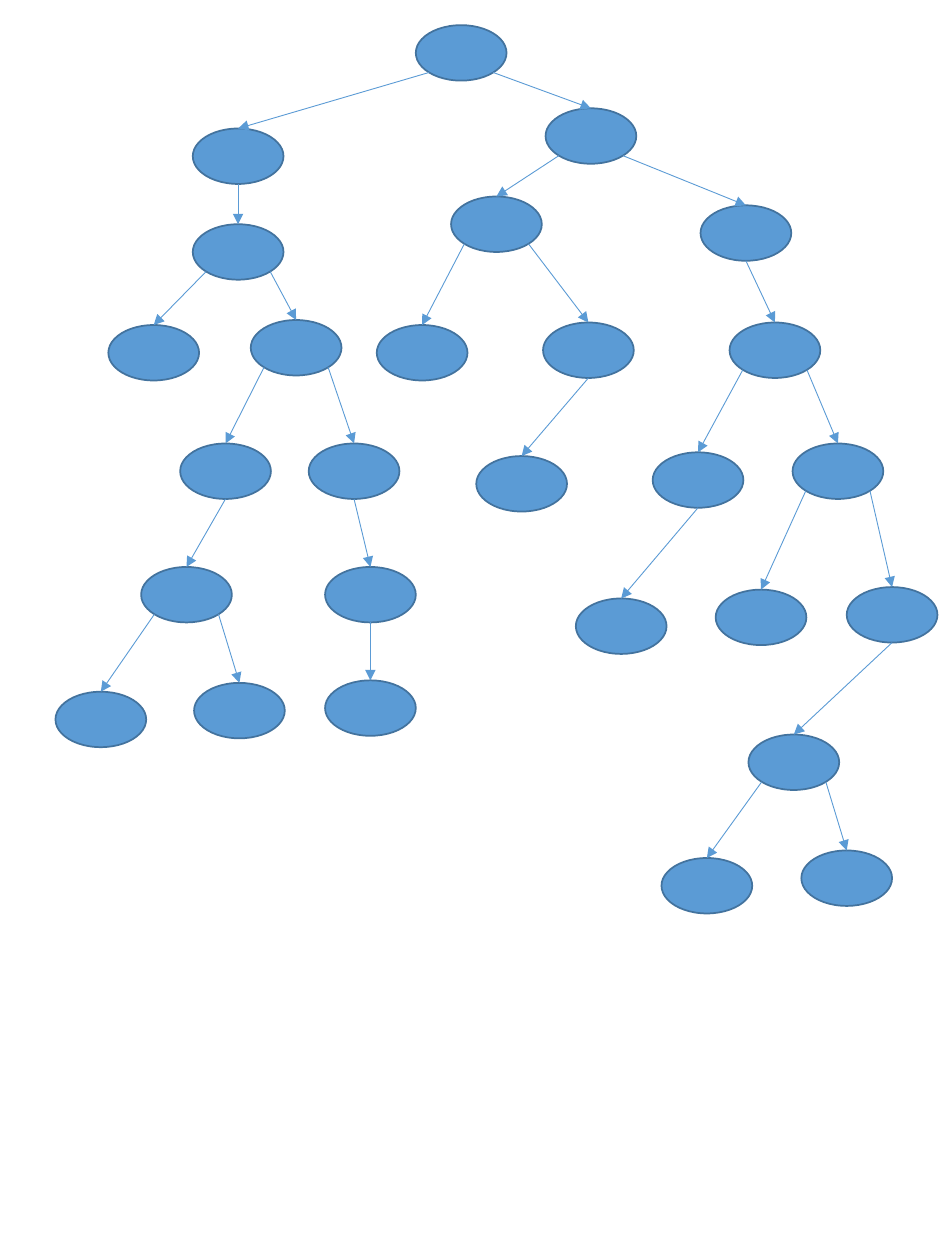
from dataclasses import dataclass
from math import sqrt

from lxml.etree import SubElement
from pptx import Presentation
from pptx.dml.color import RGBColor
from pptx.enum.shapes import MSO_CONNECTOR as Conn, MSO_SHAPE as Shape
from pptx.oxml.ns import qn
from pptx.util import Inches, Pt

COLORS = {"node": "5B9BD5", "outline": "43739E", "arrow": "5B9BD5"}

# The slide is a grid of 750 columns by 1000 rows.
COLS, ROWS = 750, 1000
CELL = Inches(7.5) // COLS
NODE_W, NODE_H = 72, 44


@dataclass(frozen=True)
class Node:
    """A tree node: left column, top row and its children from left to right."""
    col: float
    row: float
    children: tuple["Node", ...] = ()

    @property
    def center(self) -> float:
        return self.col + NODE_W / 2


def node(col: float, row: float, *children: Node) -> Node:
    return Node(col, row, children)


LEFT_BRANCH = node(
    153, 102,
    node(153, 178,
         node(86, 258),
         node(199, 254,
              node(143, 352,
                   node(112, 450, node(44, 549), node(154, 542))),
              node(245, 352,
                   node(258, 450, node(258, 540))))))

MIDDLE_BRANCH = node(
    358, 156,
    node(299, 258),
    node(431, 256, node(378, 362)))

RIGHT_BRANCH = node(
    556, 163,
    node(579, 256,
         node(518, 359, node(457, 475)),
         node(629, 352,
              node(568, 468),
              node(672, 466,
                   node(594, 583, node(525, 681), node(636, 675))))))

ROOT = node(330, 20, LEFT_BRANCH, node(433, 86, MIDDLE_BRANCH, RIGHT_BRANCH))


def cells(count: float) -> int:
    return round(count * CELL)


def rgb(name: str) -> RGBColor:
    return RGBColor.from_string(COLORS[name])


def exit_point(parent: Node, side: int) -> tuple[float, float]:
    """Point on the ellipse: bottom (0), lower left (-1) or lower right (1)."""
    middle = parent.row + NODE_H / 2
    if side == 0:
        return parent.center, parent.row + NODE_H
    diagonal = 1 / sqrt(2)
    return (parent.center + side * diagonal * NODE_W / 2,
            middle + diagonal * NODE_H / 2)


def draw_arrow(shapes, parent: Node, child: Node, side: int) -> None:
    x, y = exit_point(parent, side)
    cxn = shapes.add_connector(Conn.STRAIGHT, cells(x), cells(y),
                               cells(child.center), cells(child.row))
    cxn.line.color.rgb = rgb("arrow")
    cxn.line.width = Pt(0.5)
    SubElement(cxn.line._get_or_add_ln(), qn("a:tailEnd"), type="triangle")
    SubElement(cxn._element.spPr, qn("a:effectLst"))


def draw_node(shapes, item: Node) -> None:
    sp = shapes.add_shape(Shape.OVAL, cells(item.col), cells(item.row),
                          cells(NODE_W), cells(NODE_H))
    sp.shadow.inherit = False
    sp.fill.solid()
    sp.fill.fore_color.rgb = rgb("node")
    sp.line.color.rgb = rgb("outline")
    sp.line.width = Pt(1)


def draw_tree(shapes, item: Node) -> None:
    draw_node(shapes, item)
    sides = (-1, 1) if len(item.children) == 2 else (0,)
    for child, side in zip(item.children, sides):
        draw_tree(shapes, child)
        draw_arrow(shapes, item, child, side)


def main() -> None:
    prs = Presentation()
    prs.slide_width, prs.slide_height = cells(COLS), cells(ROWS)
    slide = prs.slides.add_slide(prs.slide_layouts[6])
    draw_tree(slide.shapes, ROOT)
    prs.save("out.pptx")


if __name__ == "__main__":
    main()
